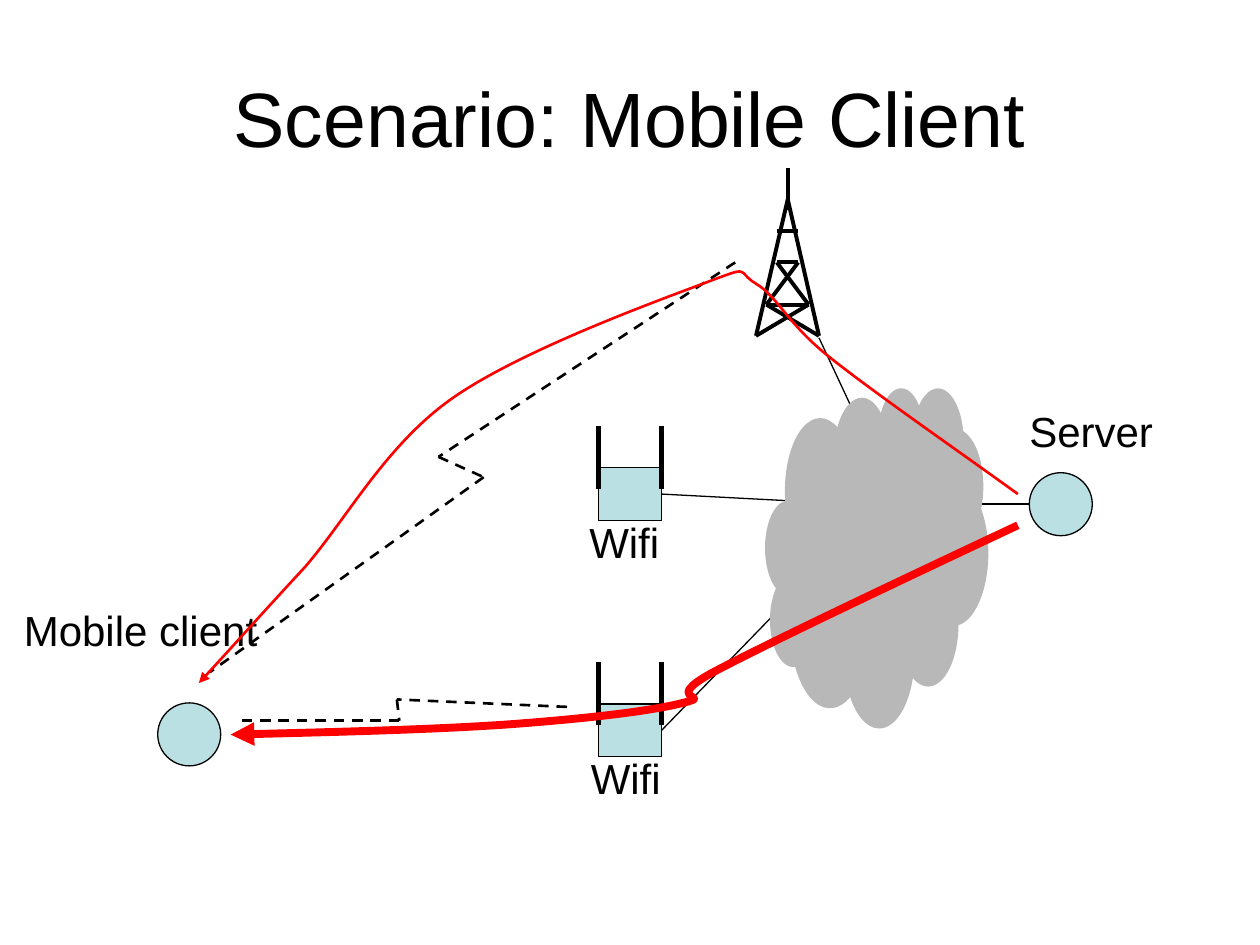
from itertools import pairwise

from lxml.etree import SubElement
from pptx import Presentation
from pptx.dml.color import RGBColor
from pptx.enum.dml import MSO_LINE
from pptx.enum.shapes import MSO_CONNECTOR, MSO_SHAPE
from pptx.enum.text import MSO_ANCHOR, MSO_AUTO_SIZE, PP_ALIGN
from pptx.oxml.ns import qn
from pptx.util import Cm, Pt

COLORS = {"ink": "000000", "node": "BBE0E3", "cloud": "B8B8B8", "route": "FF0000"}
FONT = "Arial"
NODE_SIZE = 1.27
RIGHT_SIDE = 3

# Tower geometry: mast, legs and braces as pairs of end points
TOWER_BARS = [
    ((15.88, 3.39), (15.88, 4.23)),
    ((15.88, 4.02), (15.24, 6.77)),
    ((15.88, 4.02), (16.51, 6.77)),
    ((15.45, 6.14), (16.3, 6.14)),
    ((15.66, 5.29), (16.09, 5.29)),
    ((15.66, 5.29), (16.3, 6.14)),
    ((16.09, 5.29), (15.45, 6.14)),
    ((15.45, 6.14), (16.51, 6.77)),
    ((16.3, 6.14), (15.24, 6.77)),
    ((15.66, 4.66), (16.09, 4.66)),
]

# Radio links as corner points
CELL_RADIO = [(14.82, 5.29), (8.84, 9.21), (9.75, 9.62), (4.23, 13.55)]
WIFI_RADIO = [(11.43, 14.25), (8, 14.1), (8.05, 14.53), (4.74, 14.53)]

# Routes as a start point, then two control points and an end point per curve
CELL_ROUTE = [
    (20.52, 9.96),
    (19.08, 8.92), (17.6, 7.9), (16.71, 7.19),
    (15.85, 6.5), (15.67, 5.97), (15.24, 5.72),
    (14.81, 5.46), (15.21, 5.33), (14.17, 5.72),
    (13.16, 6.1), (10.44, 7.09), (9.09, 8.05),
    (7.77, 8.99), (6.99, 10.46), (6.15, 11.43),
    (5.28, 12.37), (4.65, 13.08), (4.01, 13.77),
]
WIFI_ROUTE = [
    (20.52, 10.59),
    (18.03, 11.76), (15.52, 12.95), (14.4, 13.54),
    (13.26, 14.15), (14.45, 14), (13.77, 14.17),
    (13.06, 14.35), (11.68, 14.5), (10.16, 14.61),
    (8.64, 14.71), (6.65, 14.76), (4.65, 14.81),
]


def rgb(name):
    return RGBColor.from_string(COLORS[name])


def style_line(line, color="ink", width=0.75):
    line.color.rgb = rgb(color)
    line.width = Pt(width)


def add_label(slide, text, left, top, width, height=1.27, size=24):
    box = slide.shapes.add_textbox(Cm(left), Cm(top), Cm(width), Cm(height))
    frame = box.text_frame
    frame.word_wrap = False
    frame.auto_size = MSO_AUTO_SIZE.SHAPE_TO_FIT_TEXT
    run = frame.paragraphs[0].add_run()
    run.text = text
    run.font.name = FONT
    run.font.size = Pt(size)
    run.font.color.rgb = rgb("ink")
    return frame


def add_title(slide, text):
    frame = add_label(slide, text, 1.27, 0.76, 22.86, 3.18, 44)
    frame.word_wrap = True
    frame.auto_size = MSO_AUTO_SIZE.NONE
    frame.vertical_anchor = MSO_ANCHOR.MIDDLE
    frame.paragraphs[0].alignment = PP_ALIGN.CENTER


def add_block(shapes, kind, left, top, width, height, fill="node", line="ink"):
    shape = shapes.add_shape(kind, Cm(left), Cm(top), Cm(width), Cm(height))
    shape.shadow.inherit = False
    shape.fill.solid()
    shape.fill.fore_color.rgb = rgb(fill)
    style_line(shape.line, line)
    return shape


def add_node(slide, left, top):
    return add_block(slide.shapes, MSO_SHAPE.OVAL, left, top, NODE_SIZE, NODE_SIZE)


def add_line(shapes, start, end, width=0.75):
    points = [Cm(value) for value in (*start, *end)]
    line = shapes.add_connector(MSO_CONNECTOR.STRAIGHT, *points)
    style_line(line.line, width=width)
    SubElement(line._element.spPr, qn("a:effectLst"))
    return line


def add_access_point(slide, left, top):
    """Draw a box with two antennas and return the box."""
    group = slide.shapes.add_group_shape().shapes
    box = add_block(group, MSO_SHAPE.RECTANGLE, left, top + 0.85, NODE_SIZE, 1.06)
    for x in (left, left + NODE_SIZE):
        add_line(group, (x, top), (x, top + 1.27), 3)
    return box


def add_radio_link(slide, points):
    group = slide.shapes.add_group_shape().shapes
    for start, end in pairwise(points):
        add_line(group, start, end, 1.5).line.dash_style = MSO_LINE.DASH


def add_route(slide, points, width):
    """Draw a curved red arrow through cubic Bezier points."""
    start, *rest = [(Cm(x), Cm(y)) for x, y in points]
    builder = slide.shapes.build_freeform(*start)
    builder.add_line_segments(rest, close=False)
    route = builder.convert_to_shape()
    route.shadow.inherit = False
    route.fill.background()
    style_line(route.line, "route", width)
    SubElement(route.line._get_or_add_ln(), qn("a:tailEnd"), type="triangle")

    # Merge every three straight segments into one curve
    outline = route._element.xpath(".//a:path")[0]
    segments = outline.findall(qn("a:lnTo"))
    for first in range(0, len(segments), 3):
        curve = SubElement(outline, qn("a:cubicBezTo"))
        for segment in segments[first:first + 3]:
            curve.append(segment[0])
            outline.remove(segment)


def main():
    presentation = Presentation()
    presentation.slide_width, presentation.slide_height = Cm(25.4), Cm(19.05)
    slide = presentation.slides.add_slide(presentation.slide_layouts[6])
    shapes = slide.shapes

    add_title(slide, "Scenario: Mobile Client")

    # End points
    add_node(slide, 3.18, 14.17)
    add_node(slide, 20.75, 9.53)
    add_label(slide, "Mobile client", 0.23, 12.07, 5.21)

    # Access points and cell tower
    upper_wifi = add_access_point(slide, 12.07, 8.58)
    lower_wifi = add_access_point(slide, 12.07, 13.34)
    for start, end in TOWER_BARS:
        add_line(shapes, start, end, 2.25)
    add_radio_link(slide, CELL_RADIO)

    # Wired links around the router, which the cloud covers
    add_node(slide, 17.15, 9.53)
    add_line(shapes, (18.42, 10.16), (20.75, 10.16))
    add_line(shapes, (16.51, 6.81), (17.78, 9.53))
    for start, end, box in (
        ((17.15, 10.16), (13.34, 9.96), upper_wifi),
        ((17.32, 10.62), (13.34, 14.72), lower_wifi),
    ):
        add_line(shapes, start, end).end_connect(box, RIGHT_SIDE)
    cloud = add_block(shapes, MSO_SHAPE.CLOUD_CALLOUT, 15.44, 7.82, 4.47, 6.83,
                      "cloud", "cloud")
    cloud.adjustments[0], cloud.adjustments[1] = 0.27, -0.18

    # Wifi radio link and remaining labels
    add_radio_link(slide, WIFI_RADIO)
    add_label(slide, "Server", 20.5, 8.05, 3)
    add_label(slide, "Wifi", 11.66, 15.04, 1.91)
    add_label(slide, "Wifi", 11.63, 10.29, 1.91)

    # Routes from the server to the mobile client
    add_route(slide, CELL_ROUTE, 1.5)
    add_route(slide, WIFI_ROUTE, 4.5)

    presentation.save("out.pptx")


if __name__ == "__main__":
    main()
